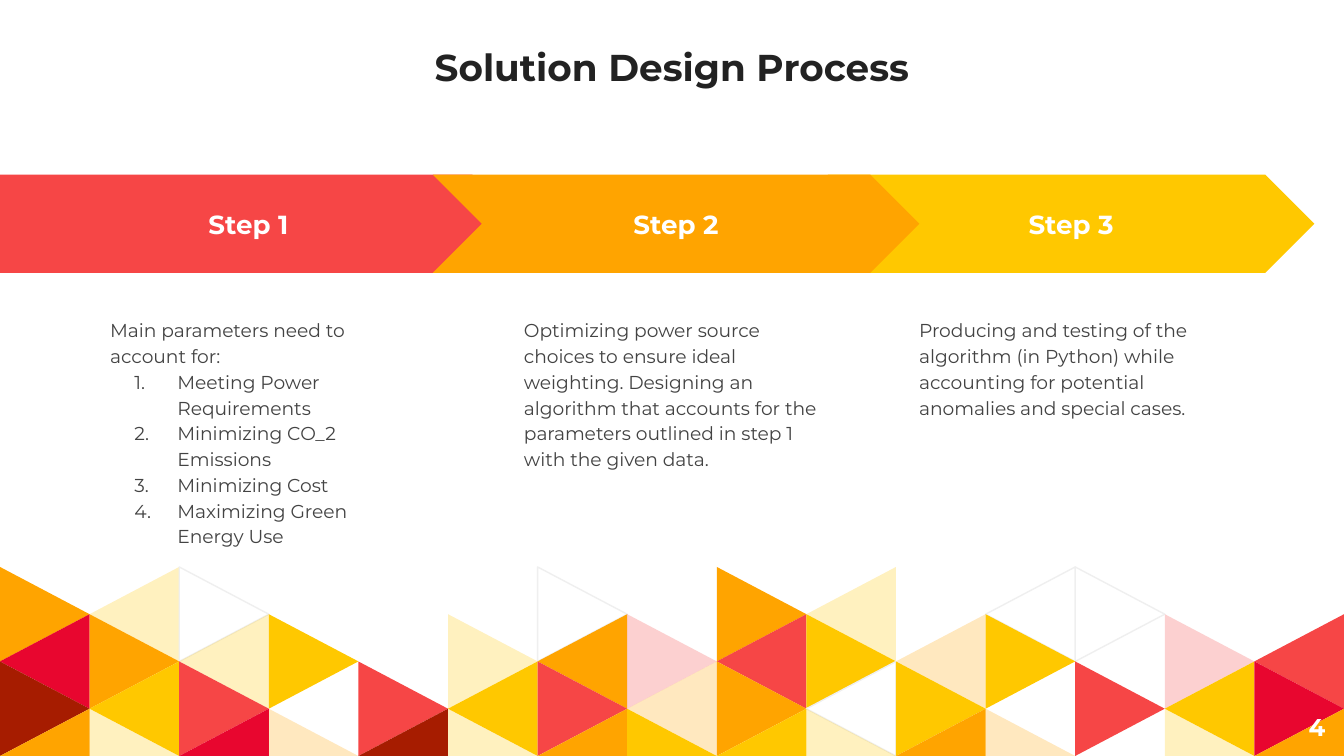
from dataclasses import dataclass
from typing import Any

from lxml.etree import SubElement
from pptx import Presentation
from pptx.dml.color import RGBColor
from pptx.enum.shapes import MSO_SHAPE
from pptx.enum.text import MSO_ANCHOR, MSO_AUTO_SIZE, PP_ALIGN
from pptx.oxml.ns import qn
from pptx.util import Inches, Pt


@dataclass(frozen=True)
class Theme:
    font: str = "Montserrat"
    title_size: float = 20
    step_size: float = 14
    number_size: float = 13
    body_size: float = 10
    ink: str = "222222"
    body: str = "434343"
    white: str = "FFFFFF"
    outline: str = "EFEFEF"
    orange: str = "FFA400"
    yellow: str = "FFC800"
    red: str = "F64646"
    crimson: str = "E8062F"
    brown: str = "A61C00"
    tint_alpha: int = 25


@dataclass(frozen=True)
class Step:
    label: str
    geometry: MSO_SHAPE
    color: str
    left: float
    width: float
    text_left: float
    text: str
    items: tuple[str, ...] = ()


THEME = Theme()
SLIDE_WIDTH, SLIDE_HEIGHT = Inches(10), Inches(5.625)

# One letter per triangle: lower case is a tint, W an outline, a dot a gap.
MOSAIC = (
    "OyW...W.Oy.WW..",
    "COyY.yOrRYoY.rR",
    "BYR.RYRoOWY.RYC",
    "OyCoByOYYyOo.yO",
)
MOSAIC_COLORS = {
    "O": THEME.orange,
    "Y": THEME.yellow,
    "R": THEME.red,
    "C": THEME.crimson,
    "B": THEME.brown,
    "W": THEME.white,
}
COLUMN_WIDTH = SLIDE_WIDTH / len(MOSAIC[0])
ROW_HEIGHT = SLIDE_HEIGHT / 16
MOSAIC_TOP = SLIDE_HEIGHT - len(MOSAIC) * ROW_HEIGHT

# Listed from back to front.
STEPS = (
    Step("Step 3", MSO_SHAPE.CHEVRON, THEME.yellow, 6.16, 3.62, 6.74,
         "Producing and testing of the algorithm (in Python) while accounting "
         "for potential anomalies and special cases."),
    Step("Step 1", MSO_SHAPE.PENTAGON, THEME.red, 0, 3.88, 0.72,
         "Main parameters need to account for:",
         ("Meeting Power Requirements", "Minimizing CO_2 Emissions",
          "Minimizing Cost", "Maximizing Green Energy Use")),
    Step("Step 2", MSO_SHAPE.CHEVRON, THEME.orange, 3.22, 3.62, 3.8,
         "Optimizing power source choices to ensure ideal weighting. Designing "
         "an algorithm that accounts for the parameters outlined in step 1 "
         "with the given data."),
)


def apply_formats(target: Any, formats: dict[str, Any]) -> None:
    for name, value in formats.items():
        setattr(target, name, value)


def place(shape: Any, left: float, top: float, width: float, height: float) -> None:
    apply_formats(shape, {"left": Inches(left), "top": Inches(top),
                          "width": Inches(width), "height": Inches(height)})


def write(shape: Any, lines: tuple[str, ...], size: float, color: str, bold: bool = False,
          align: PP_ALIGN = PP_ALIGN.LEFT, anchor: MSO_ANCHOR = MSO_ANCHOR.TOP,
          line_spacing: float = 1.0) -> None:
    frame = shape.text_frame
    margins = {f"margin_{side}": Inches(0.1) for side in ("left", "top", "right", "bottom")}
    apply_formats(frame, {"text": "\n".join(lines), "word_wrap": True,
                          "auto_size": MSO_AUTO_SIZE.NONE, "vertical_anchor": anchor, **margins})
    for paragraph in frame.paragraphs:
        apply_formats(paragraph, {"alignment": align, "line_spacing": line_spacing,
                                  "space_before": Pt(0), "space_after": Pt(0)})
        for run in paragraph.runs:
            apply_formats(run.font, {"name": THEME.font, "size": Pt(size), "bold": bold})
            run.font.color.rgb = RGBColor.from_string(color)


def paint(shape: Any, color: str) -> None:
    shape.shadow.inherit = False
    shape.fill.solid()
    shape.fill.fore_color.rgb = RGBColor.from_string(color)
    shape.line.fill.background()


def draw_triangle(slide: Any, column: int, row: int, code: str) -> None:
    """Triangles point right and left by turns; the last row is cut in half."""
    points_right = (column + row) % 2 == 0
    edge, tip = (column, column + 1) if points_right else (column + 1, column)
    corners = [(edge, row), (tip, row + 1), (edge, min(row + 2, len(MOSAIC)))]
    points = [(round(x * COLUMN_WIDTH), round(MOSAIC_TOP + y * ROW_HEIGHT)) for x, y in corners]
    builder = slide.shapes.build_freeform(*points[0])
    builder.add_line_segments(points[1:], close=True)
    triangle = builder.convert_to_shape()
    paint(triangle, MOSAIC_COLORS[code.upper()])
    if code == "W":
        triangle.line.color.rgb = RGBColor.from_string(THEME.outline)
        triangle.line.width = Pt(0.75)
    elif code.islower():
        color = triangle.fill._xPr.find(f"{qn('a:solidFill')}/{qn('a:srgbClr')}")
        SubElement(color, qn("a:alpha"), val=str(THEME.tint_alpha * 1000))


def draw_mosaic(slide: Any) -> None:
    for row, codes in enumerate(MOSAIC):
        for column, code in enumerate(codes):
            if code != ".":
                draw_triangle(slide, column, row, code)


def set_bullet(paragraph: Any, numbered: bool) -> None:
    properties = paragraph._p.get_or_add_pPr()
    left, indent = (Inches(0.5), Inches(-0.32)) if numbered else (0, 0)
    properties.set("marL", str(left))
    properties.set("indent", str(indent))
    if numbered:
        bullet_color = SubElement(properties, qn("a:buClr"))
        SubElement(bullet_color, qn("a:srgbClr"), val=THEME.body)
        SubElement(properties, qn("a:buFont"), typeface=THEME.font)
        SubElement(properties, qn("a:buAutoNum"), type="arabicPeriod")
    else:
        SubElement(properties, qn("a:buNone"))


def draw_step(slide: Any, step: Step) -> None:
    arrow = slide.shapes.add_shape(step.geometry, 0, 0, 0, 0)
    place(arrow, step.left, 1.3, step.width, 0.73)
    paint(arrow, step.color)
    write(arrow, (step.label,), THEME.step_size, THEME.white, bold=True,
          align=PP_ALIGN.CENTER, anchor=MSO_ANCHOR.MIDDLE)

    body = slide.placeholders[1] if step.items else slide.shapes.add_textbox(0, 0, 0, 0)
    place(body, step.text_left, 2.25, 2.45, 2.86)
    write(body, (step.text, *step.items), THEME.body_size, THEME.body, line_spacing=1.15)
    for index, paragraph in enumerate(body.text_frame.paragraphs):
        set_bullet(paragraph, numbered=index > 0)


def main() -> None:
    presentation = Presentation()
    apply_formats(presentation, {"slide_width": SLIDE_WIDTH, "slide_height": SLIDE_HEIGHT})
    slide = presentation.slides.add_slide(presentation.slide_layouts[1])
    draw_mosaic(slide)

    title = slide.shapes.title
    place(title, 0, 0, 10, 0.76)
    write(title, ("Solution Design Process",), THEME.title_size, THEME.ink, bold=True,
          align=PP_ALIGN.CENTER, anchor=MSO_ANCHOR.BOTTOM)

    number = slide.shapes.add_textbox(0, 0, 0, 0)
    place(number, 9.36, 5.19, 0.6, 0.43)
    write(number, ("4",), THEME.number_size, THEME.white, bold=True,
          align=PP_ALIGN.RIGHT, anchor=MSO_ANCHOR.MIDDLE)

    for step in STEPS:
        draw_step(slide, step)
    presentation.save("out.pptx")


if __name__ == "__main__":
    main()
